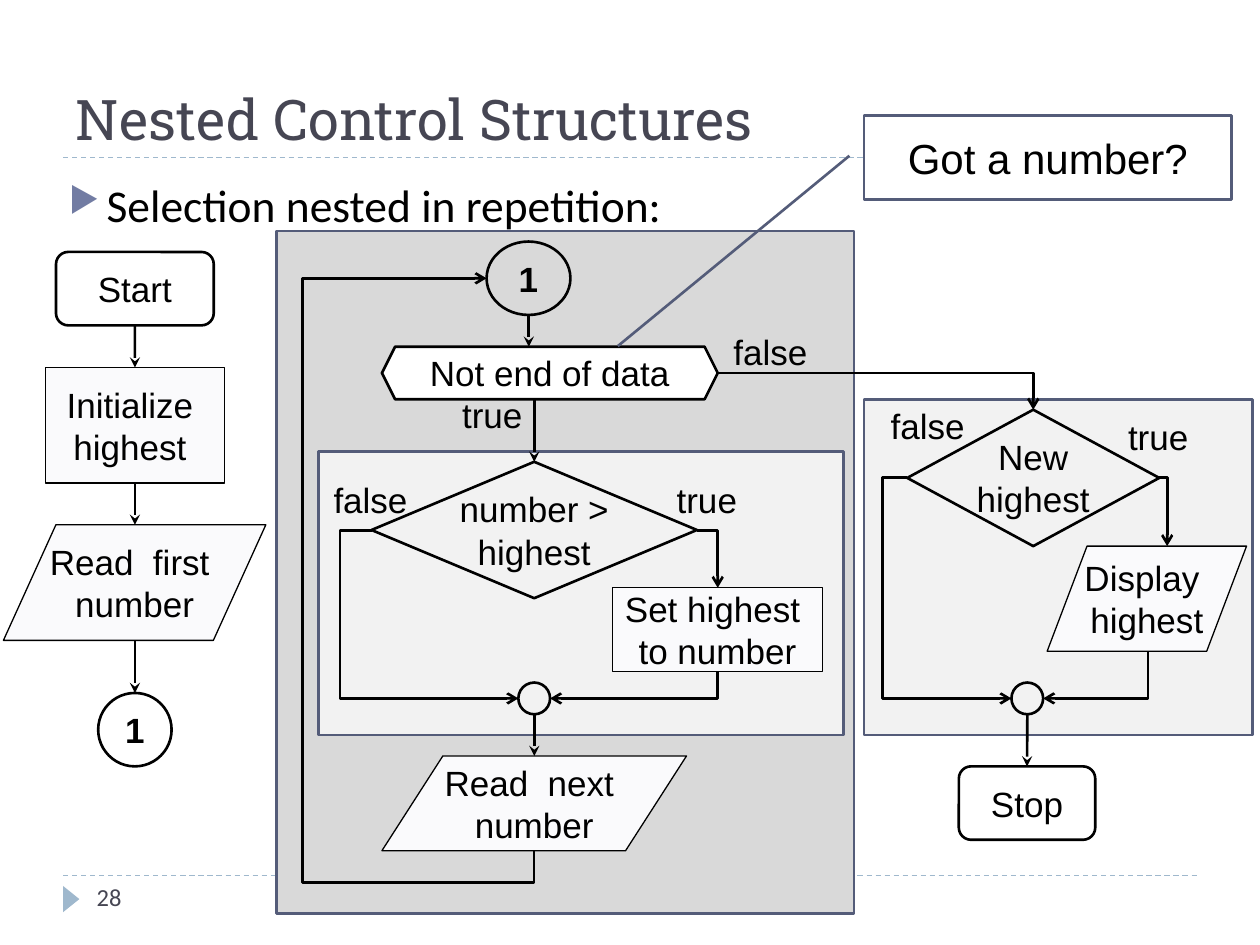
from lxml.etree import SubElement
from pptx import Presentation
from pptx.dml.color import RGBColor
from pptx.enum.dml import MSO_LINE
from pptx.enum.shapes import MSO_CONNECTOR, MSO_SHAPE
from pptx.enum.text import MSO_ANCHOR, PP_ALIGN
from pptx.oxml.ns import qn
from pptx.util import Cm, Pt

COLORS = {
    "ink": "000000", "title": "464653", "paper": "FFFFFF", "node": "FAFAFC",
    "loop": "D9D9D9", "branch": "F2F2F2", "frame": "545C79",
    "accent": "9FB8CD", "bullet": "727CA3",
}


def color(name):
    return RGBColor.from_string(COLORS[name])


def write(frame, text, size=20, font="Arial", ink="ink", bold=False,
          align=PP_ALIGN.CENTER, anchor=MSO_ANCHOR.MIDDLE, wrap=True):
    frame.text = text
    frame.word_wrap = wrap
    frame.vertical_anchor = anchor
    for para in frame.paragraphs:
        para.alignment = align
        for span in para.runs:
            span.font.size = Pt(size)
            span.font.name = font
            span.font.bold = bold
            span.font.color.rgb = color(ink)


def add_node(slide, kind, place, text="", fill=None, line="ink", width=1.5, **style):
    node = slide.shapes.add_shape(kind, *map(Cm, place))
    node.shadow.inherit = False
    if fill:
        node.fill.solid()
        node.fill.fore_color.rgb = color(fill)
    else:
        node.fill.background()
    if line:
        node.line.color.rgb = color(line)
        node.line.width = Pt(width)
    else:
        node.line.fill.background()
    if text:
        write(node.text_frame, text, **style)
    return node


def add_step(slide, kind, place, text):
    return add_node(slide, kind, place, text, "node", width=0.75, wrap=False)


def add_decision(slide, place, text):
    node = add_node(slide, MSO_SHAPE.DIAMOND, place, text)
    frame = node.text_frame
    frame.margin_left = frame.margin_right = Cm(0.13)
    frame.margin_top = frame.margin_bottom = Cm(0.13)
    return node


def add_text(slide, place, text, **style):
    box = slide.shapes.add_textbox(*map(Cm, place))
    write(box.text_frame, text, **style)
    return box


def add_line(slide, begin, end, kind=MSO_CONNECTOR.STRAIGHT, head=None,
             line="ink", width=1.5):
    connector = slide.shapes.add_connector(kind, *map(Cm, begin + end))
    connector.line.color.rgb = color(line)
    connector.line.width = Pt(width)
    properties = connector._element.spPr
    if head:
        SubElement(properties.find(qn("a:ln")), qn("a:tailEnd"), type=head)
    SubElement(properties, qn("a:effectLst"))
    return connector


def add_arrow(slide, begin, end, source=None, target=None):
    arrow = add_line(slide, begin, end, head="stealth")
    if source:
        arrow.begin_connect(source, 2)
    if target:
        arrow.end_connect(target, 0)


def add_elbow(slide, begin, end, bends=(), turned=False):
    if turned:
        middle_x, middle_y = (begin[0] + end[0]) / 2, (begin[1] + end[1]) / 2
        begin, end = [(middle_x + y - middle_y, middle_y - x + middle_x)
                      for x, y in (begin, end)]
    elbow = add_line(slide, begin, end, MSO_CONNECTOR.ELBOW, "arrow")
    properties = elbow._element.spPr
    if turned:
        properties.find(qn("a:xfrm")).set("rot", "5400000")
    geometry = properties.find(qn("a:prstGeom"))
    geometry.set("prst", f"bentConnector{2 + len(bends)}")
    guides = geometry.find(qn("a:avLst"))
    for number, bend in enumerate(bends, 1):
        SubElement(guides, qn("a:gd"), name=f"adj{number}",
                   fmla=f"val {round(bend * 1000)}")


def add_frame(slide):
    for y in (3.18, 17.65):
        rule = add_line(slide, (1.27, y), (24.13, y), line="accent", width=0.75)
        rule.line.dash_style = MSO_LINE.DASH
    marker = add_node(slide, MSO_SHAPE.ISOSCELES_TRIANGLE, (1.17, 17.96, 0.53, 0.33),
                      fill="accent", line=None)
    marker.rotation = 90
    title = slide.shapes.title
    title.left, title.top, title.width, title.height = map(Cm, (1.27, 0.43, 22.86, 2.75))
    write(title.text_frame, "Nested Control Structures", size=32, font="Roboto Slab",
          ink="title", align=PP_ALIGN.LEFT, anchor=MSO_ANCHOR.BOTTOM)
    add_text(slide, (1.7, 17.65, 5.51, 1.02), "28", size=14, font="Calibri",
             ink="title", align=PP_ALIGN.LEFT, anchor=MSO_ANCHOR.TOP)


def add_bullet(slide):
    box = add_text(slide, (1.14, 3.45, 22.86, 1.3), "Selection nested in repetition:",
                   size=26, font="Calibri", align=PP_ALIGN.LEFT, anchor=MSO_ANCHOR.TOP)
    properties = box.text_frame.paragraphs[0]._p.get_or_add_pPr()
    properties.set("marL", str(Cm(0.76)))
    properties.set("indent", str(-Cm(0.76)))
    tint = SubElement(properties, qn("a:buClr"))
    SubElement(tint, qn("a:srgbClr"), val=COLORS["bullet"])
    SubElement(properties, qn("a:buSzPct"), val="76000")
    SubElement(properties, qn("a:buChar"), char="▶")


def add_start_flow(slide):
    start = add_node(slide, MSO_SHAPE.ROUNDED_RECTANGLE, (1.13, 5.08, 3.18, 1.48), "Start")
    initialize = add_step(slide, MSO_SHAPE.FLOWCHART_PROCESS, (0.92, 7.41, 3.6, 2.33),
                          "Initialize \nhighest ")
    add_step(slide, MSO_SHAPE.FLOWCHART_DATA, (0.07, 10.58, 5.29, 2.33),
             "Read  first \nnumber")
    add_node(slide, MSO_SHAPE.OVAL, (1.98, 13.97, 1.48, 1.48), "1", bold=True)
    add_arrow(slide, (2.72, 6.56), (2.72, 7.41), start, initialize)
    add_arrow(slide, (2.72, 9.74), (2.72, 10.58), initialize)
    add_arrow(slide, (2.72, 12.91), (2.72, 13.97))


def add_loop_flow(slide):
    decision = add_decision(slide, (7.49, 9.31, 6.56, 2.75), "number > highest")
    add_step(slide, MSO_SHAPE.FLOWCHART_PROCESS, (12.35, 11.85, 4.23, 1.69),
             "Set highest \nto number")
    add_node(slide, MSO_SHAPE.OVAL, (10.45, 13.76, 0.64, 0.64))
    add_node(slide, MSO_SHAPE.HEXAGON, (7.7, 6.99, 6.77, 1.06), "Not end of data", "paper")
    add_step(slide, MSO_SHAPE.FLOWCHART_DATA, (7.7, 15.24, 6.14, 1.91),
             "Read  next \nnumber")
    add_node(slide, MSO_SHAPE.OVAL, (9.81, 4.87, 1.69, 1.48), "1", bold=True)
    add_arrow(slide, (10.66, 6.35), (10.66, 6.99))
    add_arrow(slide, (10.77, 8.05), (10.77, 9.31), target=decision)
    add_arrow(slide, (10.77, 14.4), (10.77, 15.24))
    add_elbow(slide, (14.05, 10.69), (14.47, 11.85))
    add_elbow(slide, (7.49, 10.69), (10.45, 14.08), (-21.4,))
    add_elbow(slide, (14.47, 13.54), (11.09, 14.08), turned=True)
    add_elbow(slide, (10.77, 17.15), (9.81, 5.61), (-5.5, 487.1), turned=True)


def add_result_flow(slide):
    add_elbow(slide, (14.47, 7.52), (20.83, 8.26))
    add_decision(slide, (18.29, 8.26, 5.08, 2.75), "New highest")
    add_step(slide, MSO_SHAPE.FLOWCHART_DATA, (21.11, 11.01, 4.02, 2.12),
             "Display \nhighest")
    add_node(slide, MSO_SHAPE.OVAL, (20.39, 13.76, 0.64, 0.64))
    stop = add_node(slide, MSO_SHAPE.ROUNDED_RECTANGLE, (19.33, 15.45, 2.75, 1.48), "Stop")
    add_arrow(slide, (20.71, 14.4), (20.71, 15.45), target=stop)
    add_elbow(slide, (23.37, 9.63), (23.53, 11.01))
    add_elbow(slide, (18.29, 9.63), (20.39, 14.08), (-23.7,))
    add_elbow(slide, (23.14, 13.13), (21.03, 14.08), turned=True)


def main():
    deck = Presentation()
    deck.slide_width, deck.slide_height = Cm(25.4), Cm(19.05)
    slide = deck.slides.add_slide(deck.slide_layouts[5])
    add_frame(slide)
    panels = [((17.42, 8.05, 7.83, 6.77), "branch"),
              ((5.58, 4.66, 11.64, 13.76), "loop"),
              ((6.42, 9.1, 10.58, 5.72), "branch")]
    for place, fill in panels:
        add_node(slide, MSO_SHAPE.RECTANGLE, place, fill=fill, line="frame")
    add_bullet(slide)
    add_start_flow(slide)
    add_loop_flow(slide)
    add_result_flow(slide)
    labels = [("true", 8.97, 7.83, 1.91), ("false", 14.05, 6.56, 2.96),
              ("false", 5.99, 9.53, 2.96), ("true", 12.77, 9.53, 2.96),
              ("true", 21.87, 8.26, 2.96), ("false", 17.22, 8.05, 2.96)]
    for text, left, top, width in labels:
        add_text(slide, (left, top, width, 1.06), text)
    callout = add_node(slide, MSO_SHAPE.LINE_CALLOUT_1, (17.42, 2.33, 7.41, 1.69),
                       "Got a number?", "paper", "frame", size=24)
    for index, value in enumerate((0.48, -0.04, 2.75, -0.67)):
        callout.adjustments[index] = value
    deck.save("out.pptx")


if __name__ == "__main__":
    main()
